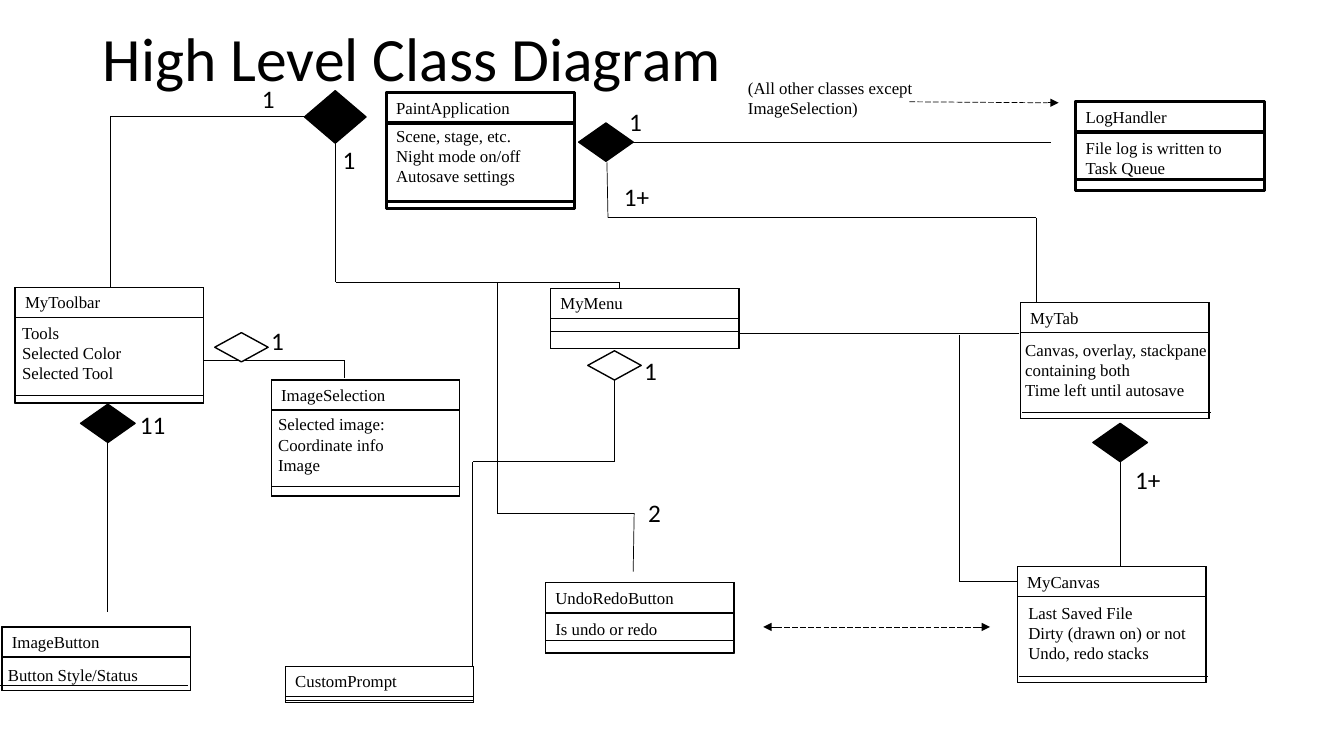
import itertools
from dataclasses import dataclass

import lxml.etree
import pptx
import pptx.dml.color
import pptx.enum.dml
import pptx.enum.shapes
import pptx.enum.text
import pptx.oxml.ns
import pptx.shapes.autoshape
import pptx.shapes.connector
import pptx.util

BLACK = pptx.dml.color.RGBColor(0x00, 0x00, 0x00)
WHITE = pptx.dml.color.RGBColor(0xFF, 0xFF, 0xFF)
SERIF, SANS = "Times New Roman", "Calibri"
UNIT = 2.54  # centimetres per layout unit
BOX_WIDTH, HEADER_HEIGHT = 1.87, 0.3
HAIRLINE, THIN, THICK = 0.5, 1, 2.25
Point = tuple[float, float]


@dataclass(frozen=True)
class UmlClass:
    name: str
    left: float
    top: float
    height: float
    divider: float  # y of the line above the methods compartment
    fields: str = ""
    fields_at: Point = (0, 0)
    fields_width: float = 1.89
    weight: float = THIN
    divider_shift: float = 0


@dataclass(frozen=True)
class Diamond:
    left: float
    top: float
    width: float
    height: float
    fill: pptx.dml.color.RGBColor = BLACK


@dataclass(frozen=True)
class Label:
    text: str
    left: float
    top: float
    width: float


@dataclass(frozen=True)
class Link:
    points: tuple[Point, ...]
    dashed: bool = False
    arrow: bool = False


CLASSES = [
    UmlClass("PaintApplication", 3.83, 0.92, 1.15, 2,
             "Scene, stage, etc.\nNight mode on/off\nAutosave settings", (3.83, 1.2), weight=THICK),
    UmlClass("LogHandler", 10.67, 1.01, 0.88, 1.78,
             "File log is written to\nTask Queue", (10.67, 1.32), weight=THICK),
    UmlClass("UndoRedoButton", 5.41, 5.78, 0.7, 6.35, "Is undo or redo", (5.41, 6.09)),
    UmlClass("CustomPrompt", 2.83, 6.61, 0.36, 6.95),
    UmlClass("MyTab", 10.12, 3, 1.15, 4.09,
             "Canvas, overlay, stackpane containing both\nTime left until autosave",
             (10.07, 3.32), 2.09, divider_shift=0.02),
    UmlClass("MyToolbar", 0.15, 2.85, 1.15, 3.92,
             "Tools\nSelected Color\nSelected Tool", (0.12, 3.15)),
    UmlClass("MyMenu", 5.46, 2.86, 0.6, 3.29),
    UmlClass("ImageButton", 0.02, 6.22, 0.63, 6.8,
             "Button Style/Status", (-0.02, 6.55), divider_shift=-0.03),
    UmlClass("MyCanvas", 10.09, 5.62, 1.15, 6.71,
             "Last Saved File\nDirty (drawn on) or not\nUndo, redo stacks",
             (10.1, 5.93), divider_shift=0.02),
    UmlClass("ImageSelection", 2.69, 3.77, 1.15, 4.83,
             "Selected image: Coordinate info\nImage", (2.66, 4.06)),
]

LINKS = [
    Link(((6.21, 1.41), (10.42, 1.41))),  # application to log
    Link(((3.03, 1.15), (1.09, 1.15), (1.09, 2.85))),  # application to toolbar
    Link(((3.33, 1.41), (3.33, 2.8), (6.14, 2.8), (6.14, 2.86))),  # application to menu
    Link(((6.02, 1.61), (6.03, 2.16), (10.28, 2.16), (10.28, 3))),  # application to tab
    Link(((4.93, 2.8), (4.93, 5.09), (6.29, 5.09), (6.28, 5.67))),  # application to buttons
    Link(((11.11, 4.58), (11.11, 5.62))),  # tab to canvas
    Link(((1.07, 4.39), (1.07, 6.07))),  # toolbar to image button
    Link(((4.69, 6.61), (4.69, 4.58), (6.09, 4.58), (6.09, 3.72))),  # menu to prompt
    Link(((7.33, 3.31), (10.11, 3.31))),  # menu to tab
    Link(((10.09, 5.77), (9.52, 5.77), (9.52, 3.32))),  # menu to canvas
    Link(((2.02, 3.58), (3.42, 3.58), (3.42, 3.75))),  # toolbar to selection
    # Dashed dependencies with solid arrow tips
    Link(((7.7, 6.22), (9.7, 6.22)), dashed=True),
    Link(((7.7, 6.22), (7.57, 6.22)), arrow=True),
    Link(((9.7, 6.22), (9.82, 6.22)), arrow=True),
    Link(((9.02, 1.01), (10.39, 1.02)), dashed=True),
    Link(((10.39, 1.02), (10.5, 1.02)), arrow=True),
]

DIAMONDS = [
    Diamond(5.74, 1.22, 0.54, 0.38),
    Diamond(3.02, 0.9, 0.61, 0.52),
    Diamond(10.84, 4.2, 0.54, 0.38),
    Diamond(0.8, 4.01, 0.54, 0.38),
    Diamond(5.83, 3.48, 0.53, 0.29, WHITE),
    Diamond(2.13, 3.3, 0.53, 0.29, WHITE),
]

MULTIPLICITIES = [
    Label("1", 6.14, 1.01, 0.35),
    Label("1", 2.5, 0.78, 0.41),
    Label("1", 3.3, 1.38, 0.41),
    Label("1+", 6.09, 1.75, 0.66),
    Label("1+", 11.16, 4.56, 0.66),
    Label("11", 1.29, 4.01, 0.66),
    Label("1", 6.29, 3.48, 0.35),
    Label("2", 6.33, 4.88, 0.41),
    Label("1", 2.59, 3.18, 0.35),
]


def cm(*values: float) -> list[pptx.util.Cm]:
    return [pptx.util.Cm(value * UNIT) for value in values]


def write(shape, text: str, *, size: float = 12, font: str = SERIF,
          anchor=pptx.enum.text.MSO_ANCHOR.TOP,
          fit=pptx.enum.text.MSO_AUTO_SIZE.SHAPE_TO_FIT_TEXT,
          spacing: float = 1.0) -> None:
    frame = shape.text_frame
    frame.text = text
    frame.word_wrap = True
    frame.auto_size = fit
    frame.vertical_anchor = anchor
    for paragraph in frame.paragraphs:
        paragraph.alignment = pptx.enum.text.PP_ALIGN.LEFT
        paragraph.line_spacing = spacing
        for run in paragraph.runs:
            run.font.size = pptx.util.Pt(size)
            run.font.name = font
            run.font.color.rgb = BLACK


def add_label(slide, label: Label, height: float, **text_format) -> None:
    box = slide.shapes.add_textbox(*cm(label.left, label.top, label.width, height))
    write(box, label.text, **text_format)


def add_outline(slide, kind, left: float, top: float, width: float, height: float,
                weight: float = THIN, fill=None) -> pptx.shapes.autoshape.Shape:
    shape = slide.shapes.add_shape(kind, *cm(left, top, width, height))
    shape.shadow.inherit = False
    if fill is None:
        shape.fill.background()
    else:
        shape.fill.solid()
        shape.fill.fore_color.rgb = fill
    shape.line.color.rgb = BLACK
    shape.line.width = pptx.util.Pt(weight)
    return shape


def add_segment(slide, start: Point, end: Point, weight: float = HAIRLINE,
                dashed: bool = False, arrow: bool = False) -> None:
    segment: pptx.shapes.connector.Connector = slide.shapes.add_connector(
        pptx.enum.shapes.MSO_CONNECTOR.STRAIGHT, *cm(*start, *end))
    segment.line.color.rgb = BLACK
    segment.line.width = pptx.util.Pt(weight)
    if dashed:
        segment.line.dash_style = pptx.enum.dml.MSO_LINE.LONG_DASH
    properties = segment._element.spPr
    if arrow:
        outline = properties.find(pptx.oxml.ns.qn("a:ln"))
        lxml.etree.SubElement(outline, pptx.oxml.ns.qn("a:tailEnd"), type="triangle")
    lxml.etree.SubElement(properties, pptx.oxml.ns.qn("a:effectLst"))


def add_class(slide, uml: UmlClass) -> None:
    rectangle = pptx.enum.shapes.MSO_SHAPE.RECTANGLE
    for offset, height in ((0, uml.height), (HEADER_HEIGHT, uml.height - HEADER_HEIGHT)):
        add_outline(slide, rectangle, uml.left, uml.top + offset, BOX_WIDTH, height, uml.weight)
    header = add_outline(slide, rectangle, uml.left, uml.top, BOX_WIDTH, HEADER_HEIGHT, uml.weight)
    write(header, uml.name)
    start = uml.left + uml.divider_shift
    add_segment(slide, (start, uml.divider), (start + BOX_WIDTH, uml.divider),
                THICK if uml.weight == THICK else HAIRLINE)
    if uml.fields:
        line_count = 2 if uml.fields.count("\n") < 1 or uml.name == "LogHandler" else 3
        add_label(slide, Label(uml.fields, *uml.fields_at, uml.fields_width),
                  0.1 + 0.2 * line_count)


def main() -> None:
    deck = pptx.Presentation()
    deck.slide_width, deck.slide_height = cm(13.33, 7.5)
    slide = deck.slides.add_slide(deck.slide_layouts[5])

    # Title
    title = slide.shapes.title
    title.left, title.top, title.width, title.height = cm(0.92, 0, 11.5, 1.22)
    write(title, "High Level Class Diagram", size=44, font=SANS, spacing=0.9,
          anchor=pptx.enum.text.MSO_ANCHOR.MIDDLE, fit=pptx.enum.text.MSO_AUTO_SIZE.NONE)

    # Classes and their relations
    for uml in CLASSES:
        add_class(slide, uml)
    for link in LINKS:
        for start, end in itertools.pairwise(link.points):
            add_segment(slide, start, end, dashed=link.dashed, arrow=link.arrow)
    for diamond in DIAMONDS:
        add_outline(slide, pptx.enum.shapes.MSO_SHAPE.FLOWCHART_DECISION, diamond.left,
                    diamond.top, diamond.width, diamond.height, fill=diamond.fill)

    # Multiplicities and the logging note
    for multiplicity in MULTIPLICITIES:
        add_label(slide, multiplicity, 0.4, size=18, font=SANS)
    add_label(slide, Label("(All other classes except ImageSelection)", 7.32, 0.72, 1.99), 0.5)

    deck.save("out.pptx")


if __name__ == "__main__":
    main()
